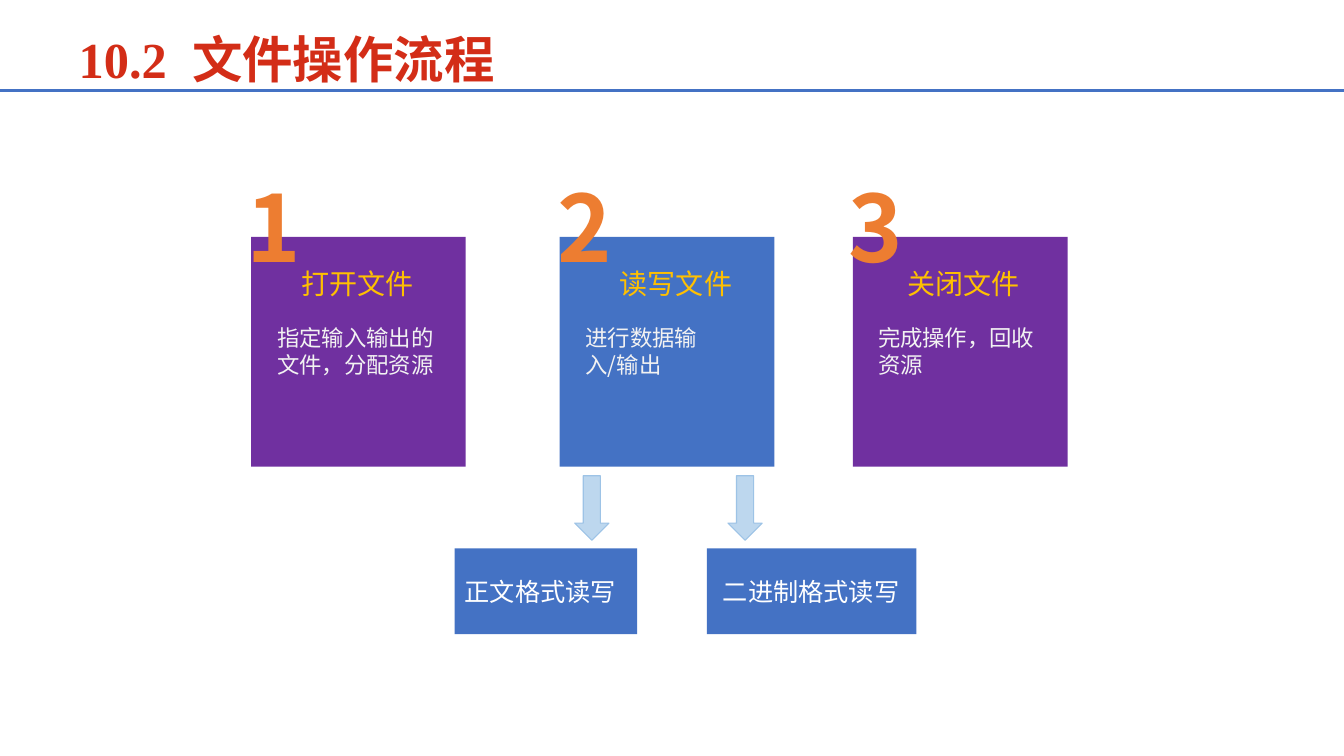
from dataclasses import dataclass

from lxml import etree
from pptx import Presentation
from pptx.dml.color import RGBColor
from pptx.enum import shapes, text
from pptx.oxml import ns
from pptx.util import Inches, Pt


@dataclass(frozen=True)
class Theme:
    font: str = "Noto Sans CJK SC"
    title_font: str = "Times New Roman"
    red: str = "D32D17"
    blue: str = "4472C4"
    purple: str = "7030A0"
    orange: str = "ED7D31"
    gold: str = "FFC000"
    pale: str = "F2F2F2"
    white: str = "FFFFFF"
    arrow_fill: str = "BDD7EE"
    arrow_line: str = "9DC3E6"
    title_size: int = 36
    number_size: int = 66
    heading_size: int = 20
    format_size: int = 18
    detail_size: int = 16


THEME = Theme()
PANEL_TOP, PANEL_WIDTH, PANEL_HEIGHT = 2.35, 2.13, 2.28

# panel left, number left, heading left, detail left, colour, heading, detail
STEPS = [
    (2.49, 2.35, 2.89, 2.65, THEME.purple, "打开文件", "指定输入输出的文件，分配资源"),
    (5.55, 5.43, 6.05, 5.71, THEME.blue, "读写文件", "进行数据输入/输出"),
    (8.46, 8.32, 8.9, 8.61, THEME.purple, "关闭文件", "完成操作，回收资源"),
]
# left, width, side inset, label
FORMATS = [(4.51, 1.81, 0.1, "正文格式读写"), (7.01, 2.08, 0.16, "二进制格式读写")]
ARROW_LEFTS = [5.7, 7.22]


def box(left, top, width, height):
    return [Inches(value) for value in (left, top, width, height)]


def set_east_asian_font(properties):
    """Use the theme font for Chinese characters, which font.name does not cover."""
    east_asian = etree.SubElement(properties, ns.qn("a:ea"))
    east_asian.set("typeface", THEME.font)


def style_paragraph(paragraph, size, color, bold=False):
    font = paragraph.font
    font.name, font.size, font.bold = THEME.font, Pt(size), bold
    font.color.rgb = RGBColor.from_string(color)
    set_east_asian_font(font._element)


def add_title(slide, number, wording):
    title = slide.shapes.title
    title.left, title.top, title.width, title.height = box(0.68, 0.31, 10.56, 0.63)
    frame = title.text_frame
    frame.vertical_anchor = text.MSO_ANCHOR.BOTTOM
    frame.auto_size = text.MSO_AUTO_SIZE.NONE
    paragraph = frame.paragraphs[0]
    paragraph.alignment = text.PP_ALIGN.LEFT
    paragraph.line_spacing = 0.9
    for part in (number, " ", wording):
        run = paragraph.add_run()
        run.text = part
        font = run.font
        font.name, font.size, font.bold = THEME.title_font, Pt(THEME.title_size), True
        font.color.rgb = RGBColor.from_string(THEME.red)
        set_east_asian_font(font._element)
        if part == " ":
            font._element.set("spc", "900")


def add_rule(slide, width):
    rule = slide.shapes.add_connector(
        shapes.MSO_CONNECTOR.STRAIGHT, 0, Inches(0.9), width, Inches(0.9))
    rule.line.color.rgb = RGBColor.from_string(THEME.blue)
    rule.line.width = Pt(2.25)
    etree.SubElement(rule._element.spPr, ns.qn("a:effectLst"))


def add_block(parent, kind, bounds, fill, line=None):
    shape = parent.shapes.add_shape(kind, *box(*bounds))
    shape.shadow.inherit = False
    shape.fill.solid()
    shape.fill.fore_color.rgb = RGBColor.from_string(fill)
    if line:
        shape.line.color.rgb = RGBColor.from_string(line)
        shape.line.width = Pt(0.75)
    else:
        shape.line.fill.background()
    return shape


def add_label(parent, bounds, wording, size, color, bold=False, wrap=True):
    label = parent.shapes.add_textbox(*box(*bounds))
    frame = label.text_frame
    frame.word_wrap = wrap
    frame.auto_size = text.MSO_AUTO_SIZE.SHAPE_TO_FIT_TEXT
    frame.text = wording
    style_paragraph(frame.paragraphs[0], size, color, bold)


def add_numbered_panel(slide, number, panel_left, number_left, color):
    group = slide.shapes.add_group_shape()
    add_block(group, shapes.MSO_SHAPE.RECTANGLE,
              (panel_left, PANEL_TOP, PANEL_WIDTH, PANEL_HEIGHT), color)
    add_label(group, (number_left, 1.64, 0.77, 1.21), str(number),
              THEME.number_size, THEME.orange, bold=True, wrap=False)


def add_format(slide, left, width, inset, wording):
    shape = add_block(slide, shapes.MSO_SHAPE.RECTANGLE,
                      (left, 5.44, width, 0.85), THEME.blue)
    frame = shape.text_frame
    frame.word_wrap = True
    frame.margin_left = frame.margin_right = Inches(inset)
    frame.vertical_anchor = text.MSO_ANCHOR.MIDDLE
    frame.text = wording
    paragraph = frame.paragraphs[0]
    paragraph.alignment = text.PP_ALIGN.JUSTIFY
    style_paragraph(paragraph, THEME.format_size, THEME.white)


def main():
    presentation = Presentation()
    presentation.slide_width, presentation.slide_height = Inches(13.33), Inches(7.5)
    slide = presentation.slides.add_slide(presentation.slide_layouts[5])

    add_rule(slide, presentation.slide_width)
    add_title(slide, "10.2", "文件操作流程")
    for number, step in enumerate(STEPS, start=1):
        panel_left, number_left, heading_left, detail_left, color, heading, detail = step
        add_numbered_panel(slide, number, panel_left, number_left, color)
        add_label(slide, (heading_left, 2.59, 1.42, 0.44), heading,
                  THEME.heading_size, THEME.gold)
        add_label(slide, (detail_left, 3.17, 1.81, 0.64), detail,
                  THEME.detail_size, THEME.pale)
    for item in FORMATS:
        add_format(slide, *item)
    for left in ARROW_LEFTS:
        add_block(slide, shapes.MSO_SHAPE.DOWN_ARROW, (left, 4.72, 0.34, 0.64),
                  THEME.arrow_fill, THEME.arrow_line)
    presentation.save("out.pptx")


if __name__ == "__main__":
    main()
